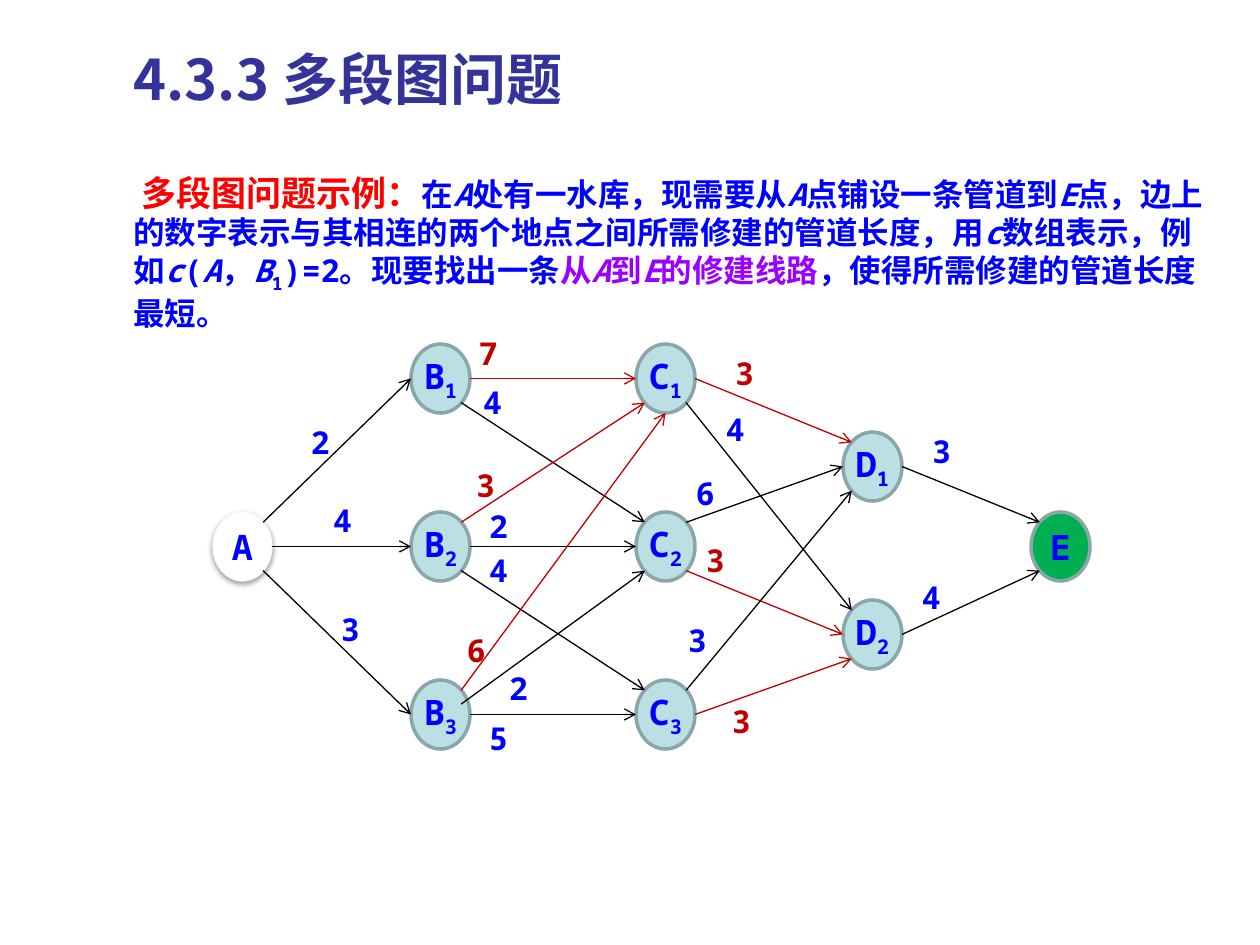
from lxml.etree import SubElement
from pptx import Presentation
from pptx.dml.color import RGBColor
from pptx.enum.shapes import MSO_CONNECTOR, MSO_SHAPE
from pptx.enum.text import MSO_ANCHOR, MSO_AUTO_SIZE, PP_ALIGN
from pptx.oxml.ns import qn
from pptx.util import Emu, Pt

EMU_PER_PX = 914400 / 126
COLORS = {
    "title": "333399", "blue": "0000FF", "red": "FF0000", "purple": "9900FF",
    "crimson": "C00000", "black": "000000", "white": "FFFFFF", "pale": "F9F9F9",
    "teal": "BBE0E3", "outline": "8AA6A8", "green": "00B050",
}
MONO, CJK = "Noto Sans Mono", "Noto Sans CJK SC"

NODE_W, NODE_H = 59, 69
STAGE_X = {"A": 213, "B": 411, "C": 636, "D": 843, "E": 1031}
ROW_TOP, ROW_PITCH = 344, 168
MIDDLE_Y = ROW_TOP + ROW_PITCH
NODES = {"A": (STAGE_X["A"], MIDDLE_Y), "E": (STAGE_X["E"], MIDDLE_Y)}
for stage, count, top in (("B", 3, ROW_TOP), ("C", 3, ROW_TOP), ("D", 2, 432)):
    for row in range(count):
        NODES[f"{stage}{row + 1}"] = (STAGE_X[stage], top + row * ROW_PITCH)

# Where an edge meets a node, as fractions of the node's width and height
PORTS = {
    "left": (0, 0.5), "right": (1, 0.5), "bottom": (0.5, 1),
    "top left": (0.15, 0.15), "top right": (0.85, 0.15),
    "bottom left": (0.15, 0.85), "bottom right": (0.85, 0.85),
    "upper right": (0.85, 0.35),
}
# start, port, end, port, weight, place of the weight, highlighted
EDGES = [
    ("A", "top right", "B1", "left", 2, (311, 423), False),
    ("A", "right", "B2", "left", 4, (333, 501), False),
    ("A", "bottom right", "B3", "left", 3, (341, 610), False),
    ("B1", "right", "C1", "left", 7, (479, 334), True),
    ("B1", "bottom right", "C2", "top left", 4, (483, 383), False),
    ("B2", "top right", "C1", "bottom left", 3, (476, 466), True),
    ("B2", "right", "C2", "left", 2, (489, 507), False),
    ("B2", "bottom right", "C3", "top left", 4, (489, 551), False),
    ("B3", "top right", "C1", "bottom", 6, (467, 631), True),
    ("B3", "upper right", "C2", "bottom left", 2, (509, 669), False),
    ("B3", "right", "C3", "left", 5, (489, 719), False),
    ("C1", "right", "D1", "top left", 3, (735, 354), True),
    ("C1", "bottom right", "D2", "top left", 4, (726, 410), False),
    ("C2", "top right", "D1", "left", 6, (696, 474), False),
    ("C2", "bottom right", "D2", "left", 3, (706, 541), True),
    ("C3", "top right", "D1", "bottom left", 3, (688, 621), False),
    ("C3", "right", "D2", "bottom left", 3, (732, 702), True),
    ("D1", "right", "E", "top left", 3, (932, 432), False),
    ("D2", "right", "E", "bottom left", 4, (922, 578), False),
]

BODY = {"size": Pt(18)}
ITALIC = {"size": Pt(18), "italic": True}
ROUTE = {"color": "purple", **BODY}
ROUTE_ITALIC = {"color": "purple", **ITALIC}
PROBLEM = [
    ("多段图问题示例：", {"size": Pt(20), "color": "red"}),
    ("在", BODY), ("A", ITALIC), ("处有一水库，现需要从", BODY), ("A", ITALIC),
    ("点铺设一条管道到", BODY), ("E", ITALIC),
    ("点，边上的数字表示与其相连的两个地点之间所需修建的管道长度，用", BODY),
    ("c", ITALIC), ("数组表示，例如", BODY), ("c", ITALIC), ("(", BODY),
    ("A", ITALIC), ("，", BODY), ("B", ITALIC), ("1", {"subscript": True, **BODY}),
    (")=2。现要找出一条", BODY), ("从", ROUTE), ("A", ROUTE_ITALIC),
    ("到", ROUTE), ("E", ROUTE_ITALIC), ("的修建线路", ROUTE),
    ("，使得所需修建的管道长度最短。", BODY),
]


def px(length):
    return Emu(round(length * EMU_PER_PX))


def rgb(name):
    return RGBColor.from_string(COLORS[name])


def set_all(target, values):
    for key, value in values.items():
        setattr(target, key, value)


class GraphSlide:
    """Holds the current slide and the style its elements share."""

    no_margins = dict.fromkeys(
        ("margin_left", "margin_top", "margin_right", "margin_bottom"), 0)

    def __init__(self, slide):
        self.slide = slide
        self.shapes = slide.shapes

    def add_text_run(self, paragraph, text, color="blue", subscript=False,
                     font=MONO, **values):
        run = paragraph.add_run()
        run.text = text
        set_all(run.font, {"name": font, "bold": True, **values})
        run.font.color.rgb = rgb(color)
        properties = run._r.get_or_add_rPr()
        SubElement(properties, qn("a:ea"), typeface=CJK)
        if subscript:
            properties.set("baseline", "-25000")

    def title(self, text, left, top, width, height):
        title = self.shapes.title
        set_all(title, {"left": px(left), "top": px(top),
                        "width": px(width), "height": px(height)})
        set_all(title.text_frame, {"vertical_anchor": MSO_ANCHOR.TOP,
                                   "auto_size": MSO_AUTO_SIZE.NONE})
        paragraph = title.text_frame.paragraphs[0]
        paragraph.alignment = PP_ALIGN.LEFT
        self.add_text_run(paragraph, text, "title", font=CJK, size=Pt(32))

    def text(self, runs, left, top, width, height, indent=0, **frame_values):
        box = self.shapes.add_textbox(px(left), px(top), px(width), px(height))
        set_all(box.text_frame, {"word_wrap": True, **frame_values})
        paragraph = box.text_frame.paragraphs[0]
        if indent:
            paragraph._p.get_or_add_pPr().set("indent", str(px(indent)))
        for content, values in runs:
            self.add_text_run(paragraph, content, **values)

    def node(self, name, fill="teal", outline="outline", weight=2):
        left, top = NODES[name]
        node = self.shapes.add_shape(
            MSO_SHAPE.OVAL, px(left), px(top), px(NODE_W), px(NODE_H))
        node.shadow.inherit = False
        node.fill.solid()
        node.fill.fore_color.rgb = rgb(fill)
        node.line.color.rgb = rgb(outline)
        node.line.width = Pt(weight)
        set_all(node.text_frame, {"vertical_anchor": MSO_ANCHOR.MIDDLE,
                                  "word_wrap": True, **self.no_margins})
        paragraph = node.text_frame.paragraphs[0]
        paragraph.alignment = PP_ALIGN.CENTER
        self.add_text_run(paragraph, name[0], size=Pt(20))
        if name[1:]:
            self.add_text_run(paragraph, name[1:], subscript=True, size=Pt(20))
        return node

    def raise_node(self, node):
        """Give the node a soft shadow straight below it."""
        effects = node._element.spPr.find(qn("a:effectLst"))
        shadow = SubElement(effects, qn("a:outerShdw"), blurRad=str(Pt(3.1)),
                            dist=str(Pt(1.6)), dir="5400000", rotWithShape="0")
        color = SubElement(shadow, qn("a:srgbClr"), val=COLORS["black"])
        SubElement(color, qn("a:alpha"), val="38000")

    def arrow(self, start, end, color):
        arrow = self.shapes.add_connector(
            MSO_CONNECTOR.STRAIGHT, *map(px, start), *map(px, end))
        arrow.line.color.rgb = rgb(color)
        arrow.line.width = Pt(0.75)
        SubElement(arrow.line._get_or_add_ln(), qn("a:tailEnd"), type="arrow")
        SubElement(arrow._element.spPr, qn("a:effectLst"))

    def weight(self, value, place, color):
        self.text([(str(value), {"size": Pt(18), "color": color})],
                  *place, 29, 38, **self.no_margins)


def port_point(node, port):
    (left, top), (across, down) = NODES[node], PORTS[port]
    return left + across * NODE_W, top + down * NODE_H


def main():
    deck = Presentation()
    deck.slide_width, deck.slide_height = px(1260), px(945)
    graph = GraphSlide(deck.slides.add_slide(deck.slide_layouts[5]))
    graph.title("4.3.3 多段图问题", 121, 38, 1085, 127)

    looks = {"A": ("white", "pale", 0.75), "E": ("green",)}
    ovals = {name: graph.node(name, *looks.get(name, ())) for name in NODES}
    graph.raise_node(ovals["A"])
    for start, start_port, end, end_port, value, place, highlighted in EDGES:
        graph.arrow(port_point(start, start_port), port_point(end, end_port),
                    "crimson" if highlighted else "black")
        graph.weight(value, place, "crimson" if highlighted else "blue")

    graph.text(PROBLEM, 121, 165, 1105, 170, indent=8)
    deck.save("out.pptx")


if __name__ == "__main__":
    main()
